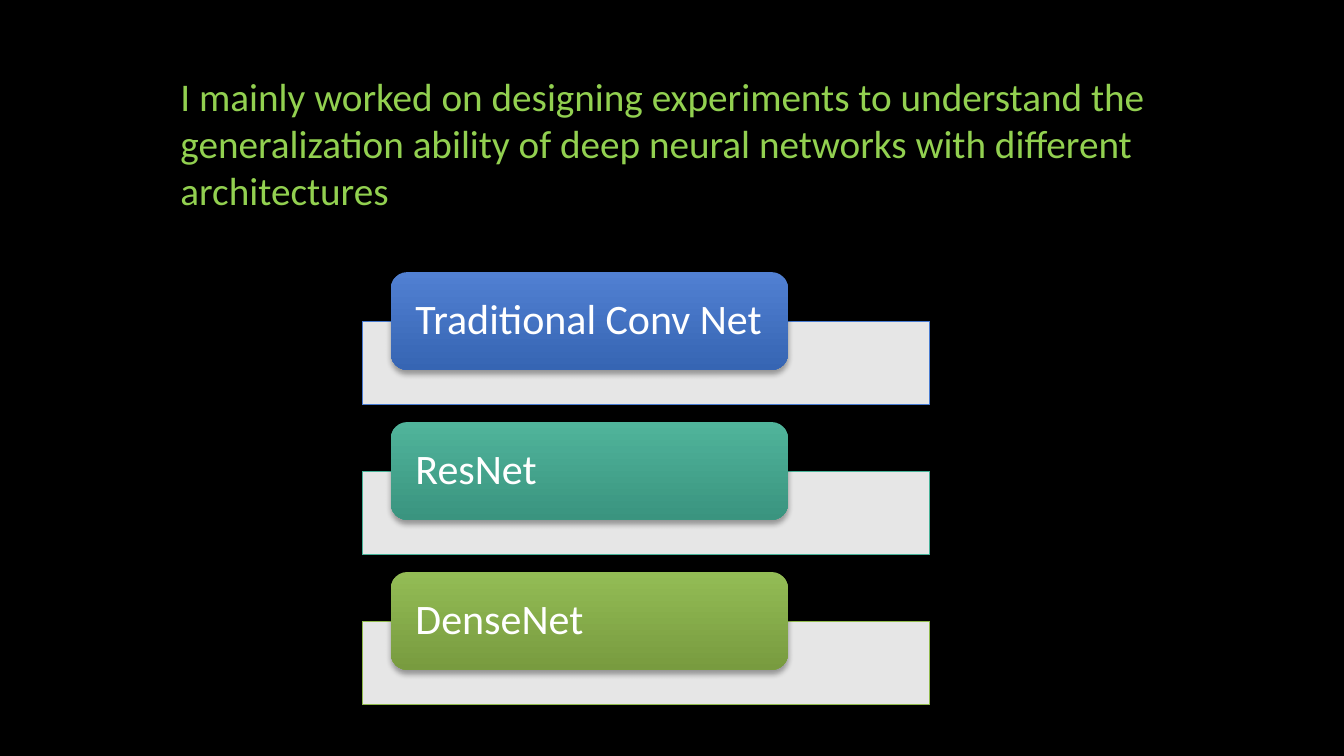
from lxml import etree
from pptx import Presentation
from pptx.dml.color import RGBColor
from pptx.enum.shapes import MSO_SHAPE
from pptx.enum.text import MSO_ANCHOR, MSO_AUTO_SIZE, PP_ALIGN
from pptx.oxml import parse_xml
from pptx.oxml.ns import nsdecls, qn
from pptx.util import Pt

RECTANGLE = MSO_SHAPE.RECTANGLE
ROUNDED = MSO_SHAPE.ROUNDED_RECTANGLE
TOP, MIDDLE = MSO_ANCHOR.TOP, MSO_ANCHOR.MIDDLE
LEFT = PP_ALIGN.LEFT
FIT_SHAPE, NO_FIT = MSO_AUTO_SIZE.SHAPE_TO_FIT_TEXT, MSO_AUTO_SIZE.NONE

BLACK = RGBColor(0x00, 0x00, 0x00)
WHITE = RGBColor(0xFF, 0xFF, 0xFF)
LIME = RGBColor(0x92, 0xD0, 0x50)
BLUE = RGBColor(0x47, 0x7B, 0xD1)
BLUE_LIGHT = RGBColor(0x51, 0x80, 0xD2)
BLUE_DARK = RGBColor(0x36, 0x65, 0xB3)
TEAL = RGBColor(0x46, 0xB2, 0x98)
TEAL_LIGHT = RGBColor(0x50, 0xB4, 0x9B)
TEAL_DARK = RGBColor(0x3A, 0x94, 0x7F)
GREEN = RGBColor(0x90, 0xBA, 0x4C)
GREEN_LIGHT = RGBColor(0x93, 0xBC, 0x55)
GREEN_DARK = RGBColor(0x78, 0x9B, 0x3F)

TITLE = ("I mainly worked on designing experiments to understand the "
         "generalization ability of deep neural networks with different architectures")
ARCHITECTURES = [
    ("Traditional Conv Net", BLUE, (BLUE_LIGHT, BLUE_DARK)),
    ("ResNet", TEAL, (TEAL_LIGHT, TEAL_DARK)),
    ("DenseNet", GREEN, (GREEN_LIGHT, GREEN_DARK)),
]

TITLE_BOX = (121.7, 48.2, 770.4, 108.7)
BAR_BOX = (258.7, 229.6, 405.4, 59.5)
LABEL_BOX = (279.2, 194.4, 283.7, 69.8)
ROW_STEP = 107.1

TITLE_FRAME = {"word_wrap": True, "auto_size": FIT_SHAPE, "vertical_anchor": TOP,
               "margin_left": Pt(7.2), "margin_right": Pt(7.2),
               "margin_top": Pt(3.6), "margin_bottom": Pt(3.6)}
LABEL_FRAME = {"word_wrap": True, "auto_size": NO_FIT, "vertical_anchor": MIDDLE,
               "margin_left": Pt(14.2), "margin_right": Pt(14.2),
               "margin_top": Pt(3.4), "margin_bottom": Pt(3.4)}
TITLE_FONT = {"name": "Calibri", "size": Pt(28)}
LABEL_FONT = {"name": "Calibri", "size": Pt(30)}


def apply(target, values):
    for name, value in values.items():
        setattr(target, name, value)


def write(shape, text, frame_format, font_format, color, line_spacing):
    frame = shape.text_frame
    frame.text = text
    apply(frame, frame_format)
    paragraph = frame.paragraphs[0]
    paragraph.alignment = LEFT
    paragraph.line_spacing = line_spacing
    apply(paragraph.font, font_format)
    paragraph.font.color.rgb = color


def add_box(slide, kind, box, row):
    left, top, width, height = box
    shape = slide.shapes.add_shape(
        kind, Pt(left), Pt(top + row * ROW_STEP), Pt(width), Pt(height))
    shape.shadow.inherit = False
    return shape


def add_bar(slide, row, outline):
    bar = add_box(slide, RECTANGLE, BAR_BOX, row)
    bar.fill.solid()
    bar.fill.fore_color.rgb = WHITE
    color = bar.fill._xPr.find(qn("a:solidFill"))[0]
    etree.SubElement(color, qn("a:alpha"), val="90000")
    bar.line.color.rgb = outline
    bar.line.width = Pt(0.75)


def add_label(slide, row, text, shades):
    label = add_box(slide, ROUNDED, LABEL_BOX, row)
    label.fill.gradient()
    label.fill.gradient_angle = 270
    for stop, shade in zip(label.fill.gradient_stops, shades):
        stop.color.rgb = shade
    label.line.fill.background()
    effects = label._element.spPr.find(qn("a:effectLst"))
    effects.append(parse_xml(
        f'<a:outerShdw {nsdecls("a")} blurRad="{Pt(4)}" dist="{Pt(3)}" dir="5400000" '
        'algn="ctr" rotWithShape="0"><a:srgbClr val="000000">'
        '<a:alpha val="35000"/></a:srgbClr></a:outerShdw>'))
    write(label, text, LABEL_FRAME, LABEL_FONT, WHITE, 0.9)


def main():
    presentation = Presentation()
    presentation.slide_width, presentation.slide_height = Pt(960), Pt(540)
    slide = presentation.slides.add_slide(presentation.slide_layouts[5])
    slide.background.fill.solid()
    slide.background.fill.fore_color.rgb = BLACK

    title = slide.shapes.title
    apply(title, dict(zip(("left", "top", "width", "height"), map(Pt, TITLE_BOX))))
    write(title, TITLE, TITLE_FRAME, TITLE_FONT, LIME, 1.0)

    for row, (name, outline, shades) in enumerate(ARCHITECTURES):
        add_bar(slide, row, outline)
        add_label(slide, row, name, shades)

    presentation.save("out.pptx")


if __name__ == "__main__":
    main()
